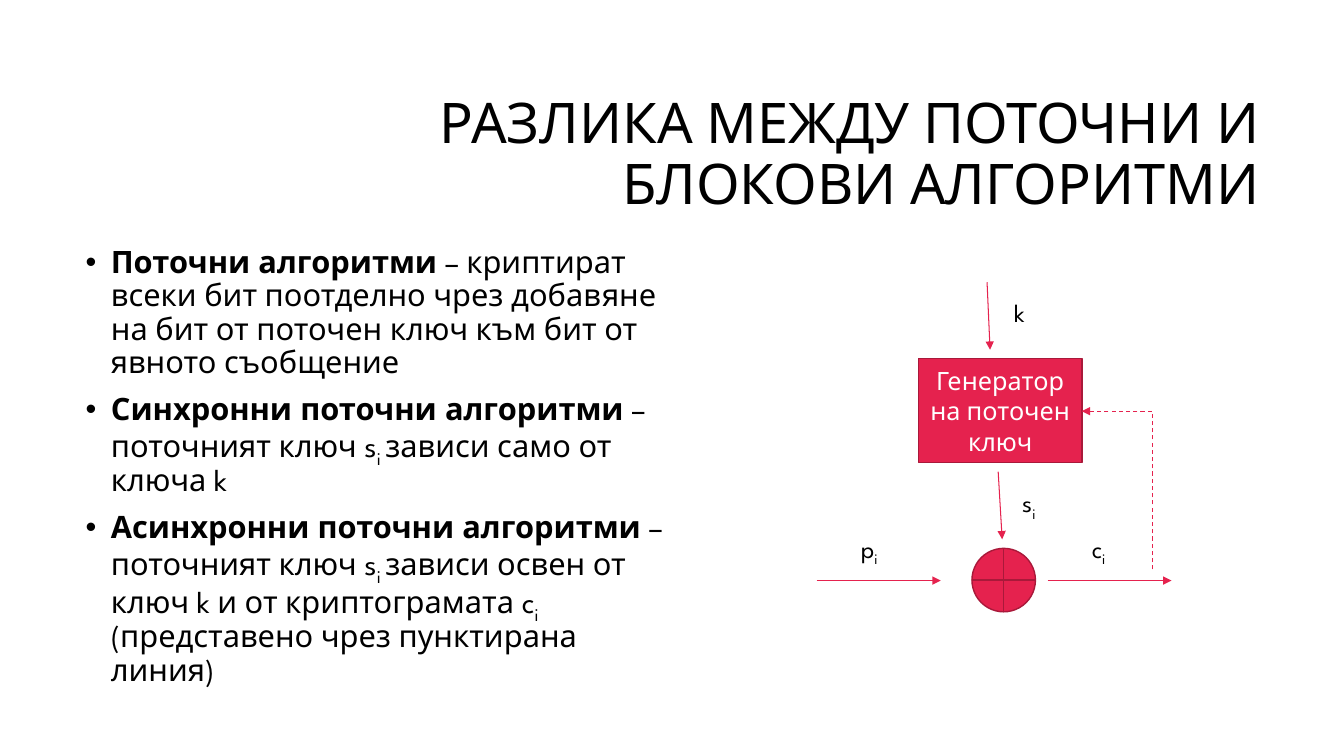
from lxml import etree
from pptx import Presentation
from pptx.dml.color import RGBColor
from pptx.enum.dml import MSO_LINE
from pptx.enum.shapes import MSO_CONNECTOR, MSO_SHAPE
from pptx.enum.text import MSO_ANCHOR, MSO_AUTO_SIZE, PP_ALIGN
from pptx.oxml.ns import qn
from pptx.util import Inches, Pt

STRAIGHT = MSO_CONNECTOR.STRAIGHT
RECTANGLE, XOR = MSO_SHAPE.RECTANGLE, MSO_SHAPE.FLOWCHART_OR
DASH = MSO_LINE.DASH
TOP, MIDDLE = MSO_ANCHOR.TOP, MSO_ANCHOR.MIDDLE
NO_FIT, GROW = MSO_AUTO_SIZE.NONE, MSO_AUTO_SIZE.SHAPE_TO_FIT_TEXT
LEFT, CENTER, RIGHT = PP_ALIGN.LEFT, PP_ALIGN.CENTER, PP_ALIGN.RIGHT

FONT = "League Spartan"
BLACK, WHITE, RED, DARK_RED = "000000", "FFFFFF", "E5224E", "A9193A"

TITLE = "РАЗЛИКА МЕЖДУ ПОТОЧНИ И БЛОКОВИ АЛГОРИТМИ"
POINTS = [
    [("Поточни алгоритми ", "bold"),
     ("– криптират всеки бит поотделно чрез добавяне на бит от поточен ключ "
      "към бит от явното съобщение", "")],
    [("Синхронни поточни алгоритми ", "bold"), ("– поточният ключ s", ""),
     ("i ", "sub"), ("зависи само от ключа k", "")],
    [("Асинхронни поточни алгоритми ", "bold"), ("– поточният ключ s", ""),
     ("i ", "sub"), ("зависи освен от ключ k и от криптограмата c", ""),
     ("i ", "sub"), ("(представено чрез пунктирана линия)", "")],
]
ARROWS = [
    (9.79, 2.8, 9.82, 3.47),
    (9.9, 4.68, 9.94, 5.35),
    (8.1, 5.76, 9.33, 5.76),
    (10.39, 5.76, 11.62, 5.76),
]
LABELS = [
    (8.44, 5.24, "p", "i"),
    (10.73, 5.24, "c", "i"),
    (9.96, 2.9, "k", ""),
    (10.04, 4.79, "s", "i"),
]


def color(value):
    """Turn a hex string into a colour."""
    return RGBColor.from_string(value)


def place(shape, left, top, width, height):
    """Move and size a shape, in inches."""
    shape.left, shape.top = Inches(left), Inches(top)
    shape.width, shape.height = Inches(width), Inches(height)


def prepare(shape, anchor=TOP, fit=NO_FIT):
    """Set wrapping, fitting and anchor, and return the text frame."""
    frame = shape.text_frame
    frame.word_wrap = True
    frame.auto_size = fit
    frame.vertical_anchor = anchor
    return frame


def add_span(para, text, style="", size=18, ink=BLACK):
    """Append a run that is plain, bold or subscript."""
    span = para.add_run()
    span.text = text
    span.font.name = FONT
    span.font.size = Pt(size)
    span.font.bold = style == "bold"
    span.font.color.rgb = color(ink)
    if style == "sub":
        span.font._element.set("baseline", "-25000")


def add_bullet(para):
    """Give a paragraph a hanging round bullet."""
    props = para._p.get_or_add_pPr()
    props.set("marL", str(Inches(0.25)))
    props.set("indent", str(-Inches(0.25)))
    etree.SubElement(props, qn("a:buFont")).set("typeface", "Arial")
    etree.SubElement(props, qn("a:buChar")).set("char", "•")


def fill_title(box):
    """Write the right-aligned title."""
    place(box, 3.17, 0.84, 9.42, 1.41)
    para = prepare(box, MIDDLE).paragraphs[0]
    para.alignment = RIGHT
    para.line_spacing = 0.9
    add_span(para, TITLE, size=40)


def fill_points(box):
    """Write the bulleted list."""
    place(box, 0.75, 2.4, 6.11, 4.4)
    frame = prepare(box)
    for index, spans in enumerate(POINTS):
        para = frame.add_paragraph() if index else frame.paragraphs[0]
        add_bullet(para)
        para.alignment = LEFT
        para.line_spacing = 0.9
        para.space_before = Pt(10 if index else 0)
        for text, style in spans:
            add_span(para, text, style, size=22)


def add_block(page, kind, left, top, width, height, text=""):
    """Draw a filled part of the cipher diagram."""
    block = page.shapes.add_shape(
        kind, Inches(left), Inches(top), Inches(width), Inches(height))
    block.shadow.inherit = False
    block.fill.solid()
    block.fill.fore_color.rgb = color(RED)
    block.line.color.rgb = color(DARK_RED)
    block.line.width = Pt(1)
    if text:
        para = prepare(block, MIDDLE).paragraphs[0]
        para.alignment = CENTER
        add_span(para, text, ink=WHITE)


def style_arrow(line):
    """Make a line thin and red with a triangle at its end."""
    line.color.rgb = color(RED)
    line.width = Pt(0.75)
    props = line._get_or_add_ln()
    etree.SubElement(props, qn("a:tailEnd")).set("type", "triangle")


def add_arrow(page, start_x, start_y, end_x, end_y):
    """Draw a straight arrow."""
    arrow = page.shapes.add_connector(
        STRAIGHT, Inches(start_x), Inches(start_y), Inches(end_x), Inches(end_y))
    etree.SubElement(arrow._element.spPr, qn("a:effectLst"))
    style_arrow(arrow.line)


def add_feedback(page, *points):
    """Draw a dashed arrow through the given points."""
    corners = [(Inches(x), Inches(y)) for x, y in points]
    builder = page.shapes.build_freeform(*corners[0])
    builder.add_line_segments(corners[1:], close=False)
    feedback = builder.convert_to_shape()
    feedback.shadow.inherit = False
    feedback.fill.background()
    feedback.line.dash_style = DASH
    style_arrow(feedback.line)


def add_label(page, left, top, letter, index):
    """Write a signal name with its subscript."""
    box = page.shapes.add_textbox(
        Inches(left), Inches(top), Inches(0.69), Inches(0.4))
    para = prepare(box, fit=GROW).paragraphs[0]
    add_span(para, letter)
    if index:
        add_span(para, index, "sub")


def main():
    """Build the slide and save it."""
    deck = Presentation()
    deck.slide_width, deck.slide_height = Inches(13.33), Inches(7.5)
    page = deck.slides.add_slide(deck.slide_layouts[1])
    fill_title(page.shapes.title)
    fill_points(page.placeholders[1])
    add_block(page, RECTANGLE, 9.11, 3.56, 1.62, 1.03, "Генератор на поточен ключ")
    add_block(page, XOR, 9.64, 5.44, 0.63, 0.63)
    for arrow in ARROWS:
        add_arrow(page, *arrow)
    for label in LABELS:
        add_label(page, *label)
    add_feedback(page, (11.43, 5.65), (11.43, 4.08), (10.73, 4.08))
    deck.save("out.pptx")


if __name__ == "__main__":
    main()
